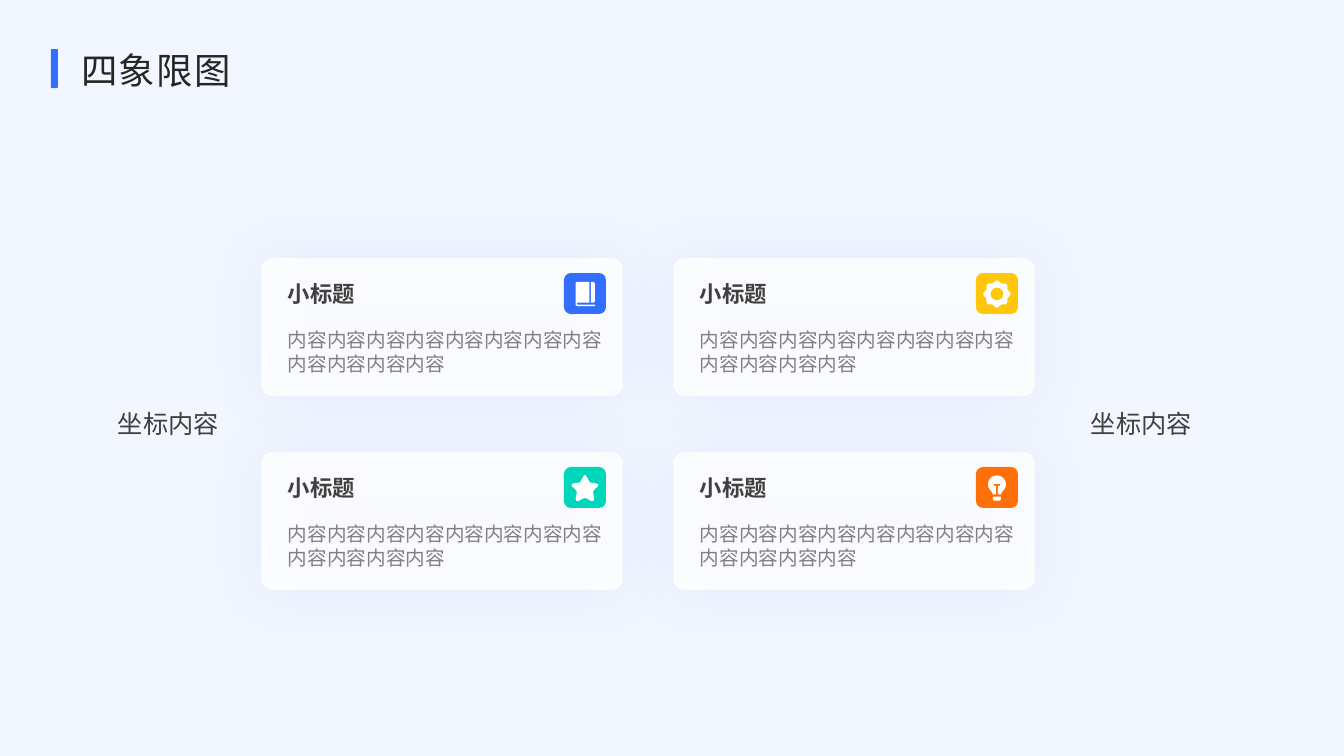
import math

import lxml.etree
import pptx
import pptx.dml.color
import pptx.enum.shapes
import pptx.enum.text
import pptx.oxml.ns
import pptx.util

PX = 9071  # EMU in one px, 1344 px across the slide
ICON_UNITS = 10  # icon outlines are in tenths of a px
COLORS = {
    "background": "F2F6FE", "blue": "336FFF", "green": "00D6B9",
    "yellow": "FFC60A", "orange": "FF6F0A", "white": "FFFFFF",
    "title": "262626", "heading": "404040", "body": "808080",
}
ROUNDED = pptx.enum.shapes.MSO_SHAPE.ROUNDED_RECTANGLE
qn = pptx.oxml.ns.qn


def paint(shape, color):
    """Give the shape a plain fill with no line and no shadow."""
    shape.shadow.inherit = False
    shape.fill.solid()
    shape.fill.fore_color.rgb = pptx.dml.color.RGBColor.from_string(COLORS[color])
    shape.line.fill.background()


def write_text(shape, *lines, size, color, bold=False, spacing=None,
               anchor=pptx.enum.text.MSO_ANCHOR.TOP):
    frame = shape.text_frame
    frame.word_wrap = True
    frame.vertical_anchor = anchor
    frame.text = "\n".join(lines)
    for paragraph in frame.paragraphs:
        paragraph.alignment = pptx.enum.text.PP_ALIGN.LEFT
        paragraph.line_spacing = spacing
        font = paragraph.runs[0].font
        font.name = "Calibri"
        font.size = pptx.util.Pt(size)
        font.bold = bold
        font.color.rgb = pptx.dml.color.RGBColor.from_string(COLORS[color])


# Icon outlines, centred on 0, 0; symmetric ones are given by their right half
book = [
    [(58, -121), (86, -121), (98, -109), (98, 75), (86, 87), (58, 87)],
    [(-82, -121), (44, -121), (44, 87), (-74, 87), (-82, 95), (-82, 101),
     (-74, 107), (98, 107), (98, 121), (-78, 121), (-90, 115), (-94, 105),
     (-94, -109)],
]
star_half = [
    (0, -132), (13, -122), (30, -90), (50, -57), (55, -54), (85, -50),
    (120, -44), (135, -32), (127, -14), (100, 10), (85, 28), (80, 40),
    (87, 73), (93, 108), (87, 126), (73, 132), (55, 126), (25, 108), (0, 100),
]
bulb_half = [
    (0, -126), (35, -119), (64, -100), (83, -71), (90, -36), (84, -4),
    (65, 24), (48, 42), (42, 64), (10, 64), (10, -21), (28, -21), (34, -31),
    (28, -42),
]
bulb_base_half = [(40, 86), (40, 114), (30, 126)]
star, bulb, bulb_base = (
    half + [(-x, y) for x, y in reversed(half)]
    for half in (star_half, bulb_half, bulb_base_half)
)
angles = [math.tau * step / 64 for step in range(64)]
gear = [
    [(radius * math.cos(angle), radius * math.sin(angle))
     for angle, radius in zip(angles, radii)]
    for radii in ([126 + 11 * math.cos(8 * angle) for angle in angles], [63] * 64)
]

presentation = pptx.Presentation()
presentation.slide_width = 1344 * PX
presentation.slide_height = 756 * PX
slide = presentation.slides.add_slide(presentation.slide_layouts[5])
shapes = slide.shapes
slide.background.fill.solid()
slide.background.fill.fore_color.rgb = pptx.dml.color.RGBColor.from_string(
    COLORS["background"])

accent_bar = shapes.add_shape(ROUNDED, 51 * PX, 49 * PX, 7 * PX, 39 * PX)
paint(accent_bar, "blue")

title = shapes.title
title.left, title.top, title.width, title.height = 71 * PX, 47 * PX, 841 * PX, 51 * PX
write_text(title, "四象限图", size=26, color="title", spacing=0.9,
           anchor=pptx.enum.text.MSO_ANCHOR.MIDDLE)
title.text_frame.paragraphs[0].runs[0].font._element.set("spc", "100")

for label_left in (108, 1081):
    axis_label = shapes.add_textbox(label_left * PX, 403 * PX, 209 * PX, 40 * PX)
    write_text(axis_label, "坐标内容", size=18, color="heading")

quadrants = [
    (0, 0, "blue", book),
    (0, 1, "green", [star]),
    (1, 0, "yellow", gear),
    (1, 1, "orange", [bulb, bulb_base]),
]
for column, row, color, icon in quadrants:
    left, top = 262 + 412 * column, 259 + 194 * row

    card = shapes.add_shape(ROUNDED, left * PX, top * PX, 360 * PX, 136 * PX)
    card.adjustments[0] = 0.08
    paint(card, "white")
    card.line.color.rgb = pptx.dml.color.RGBColor.from_string(COLORS["white"])
    card.line.width = pptx.util.Pt(1)
    properties = card._element.spPr
    fill_color = properties.find(qn("a:solidFill"))[0]
    lxml.etree.SubElement(fill_color, qn("a:alpha"), val="80000")
    glow = lxml.etree.SubElement(
        properties.find(qn("a:effectLst")), qn("a:outerShdw"),
        blurRad=str(pptx.util.Pt(40)), dist="0", dir="0", algn="ctr", rotWithShape="0")
    glow_color = lxml.etree.SubElement(glow, qn("a:srgbClr"), val=COLORS["blue"])
    lxml.etree.SubElement(glow_color, qn("a:alpha"), val="10000")

    heading = shapes.add_textbox((left + 16) * PX, (top + 16) * PX, 209 * PX, 37 * PX)
    write_text(heading, "小标题", size=16, color="heading", bold=True)
    body = shapes.add_textbox((left + 16) * PX, (top + 64) * PX, 343 * PX, 82 * PX)
    write_text(body, "内容" * 8, "内容" * 4, size=14, color="body")

    tile = shapes.add_shape(ROUNDED, (left + 302) * PX, (top + 14) * PX, 42 * PX, 41 * PX)
    paint(tile, color)

    center_x, center_y = (left + 323) * ICON_UNITS, (top + 35) * ICON_UNITS
    contours = [[(center_x + x, center_y + y) for x, y in contour] for contour in icon]
    builder = shapes.build_freeform(*contours[0][0], scale=PX / ICON_UNITS)
    for index, contour in enumerate(contours):
        if index:
            builder.move_to(*contour[0])
        builder.add_line_segments(contour[1:], close=True)
    paint(builder.convert_to_shape(), "white")

presentation.save("out.pptx")
